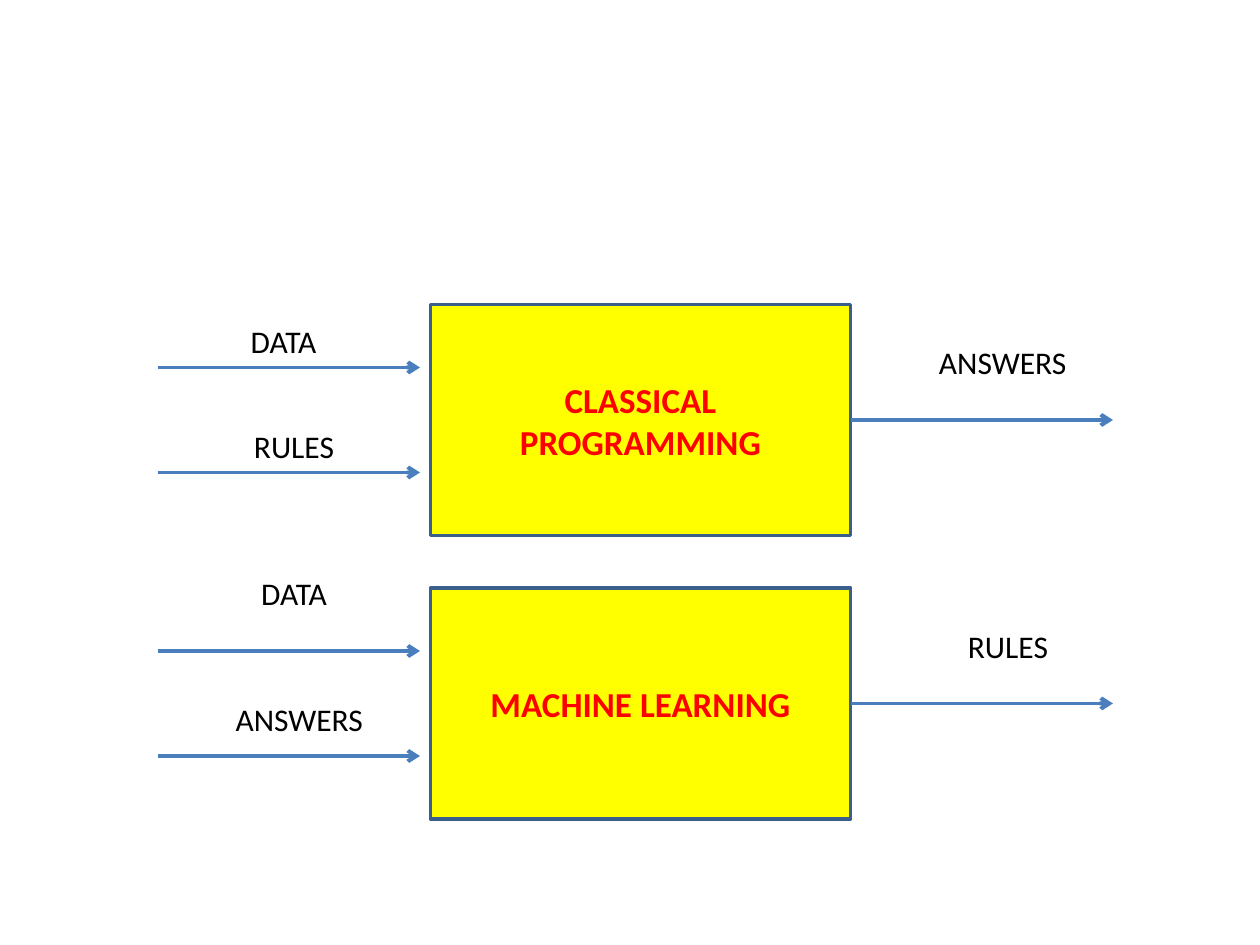
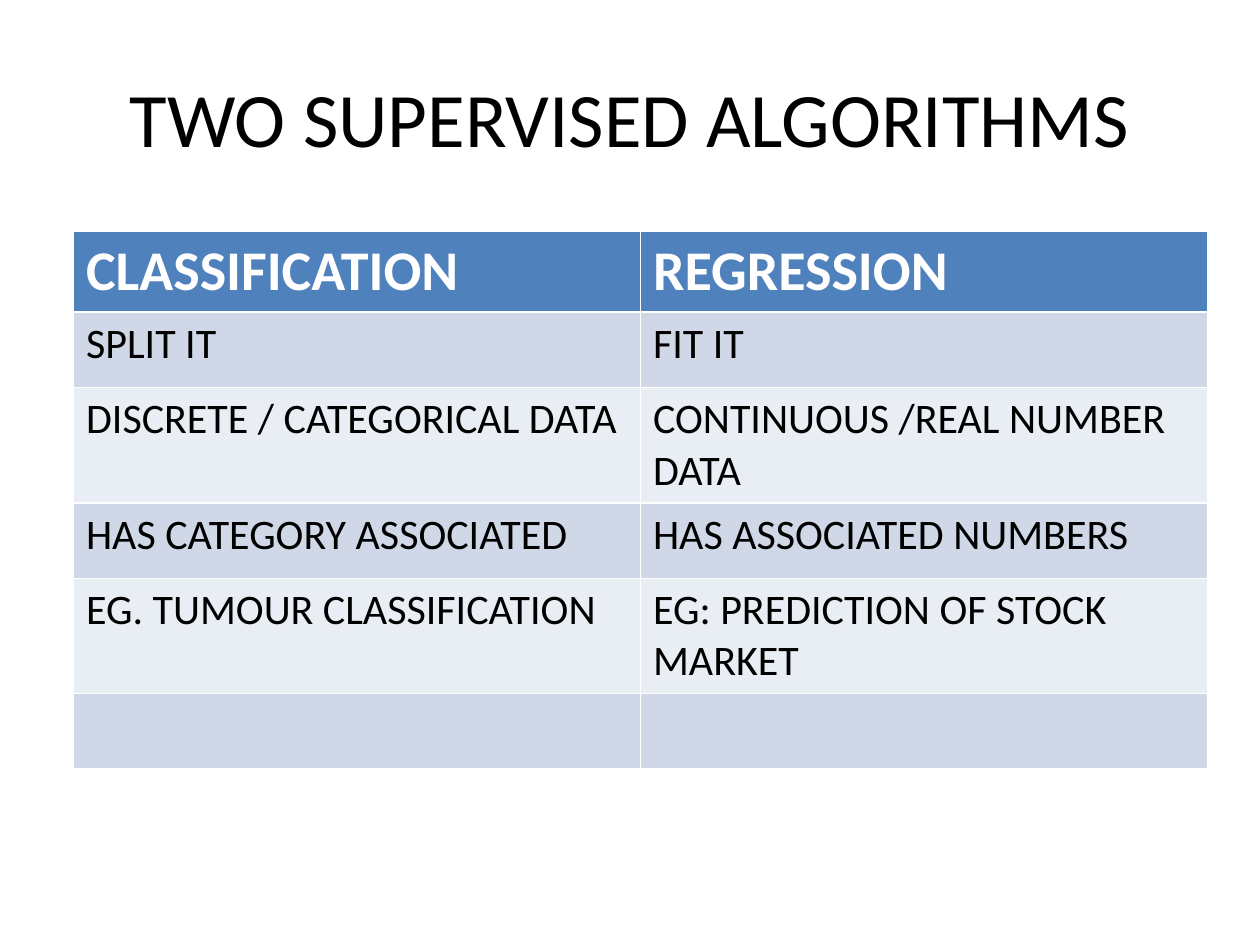
from dataclasses import dataclass

from lxml.etree import SubElement
from pptx import Presentation
from pptx.dml.color import RGBColor
from pptx.enum.shapes import MSO_CONNECTOR, MSO_SHAPE
from pptx.enum.text import MSO_ANCHOR, PP_ALIGN
from pptx.oxml.ns import qn
from pptx.slide import Slide
from pptx.text.text import TextFrame
from pptx.util import Pt


@dataclass(frozen=True)
class Theme:
    font: str = "Calibri"
    black: str = "000000"
    white: str = "FFFFFF"
    red: str = "FF0000"
    yellow: str = "FFFF00"
    edge: str = "3A5F8C"
    arrow: str = "4B7EBC"
    head: str = "4F81BD"
    bands: tuple[str, str] = ("D0D8E8", "E9EDF4")
    title: float = 44
    label: float = 18
    box: float = 20
    top_row: float = 32
    cell: float = 24


@dataclass(frozen=True)
class Signal:
    """A labelled arrow; all heights count from the top of its box."""
    text: str
    start: float
    drop: float
    left: float
    top: float
    width: float = 84


@dataclass(frozen=True)
class Flow:
    name: str
    top: float
    signals: tuple[Signal, ...]


THEME = Theme()

BOX_LEFT, BOX_WIDTH, BOX_HEIGHT = 246, 240, 132
ARROW_LENGTH, LABEL_HEIGHT = 150, 30
IN_LEFT, OUT_LEFT = 90, BOX_LEFT + BOX_WIDTH
IN_DROPS, OUT_DROP = (36, 96), BOX_HEIGHT / 2

FLOWS = (
    Flow("CLASSICAL PROGRAMMING", 174, (
        Signal("DATA", IN_LEFT, IN_DROPS[0], 120, 6),
        Signal("RULES", IN_LEFT, IN_DROPS[1], 126, 66),
        Signal("ANSWERS", OUT_LEFT, OUT_DROP, 522, 18, 102),
    )),
    Flow("MACHINE LEARNING", 336, (
        Signal("DATA", IN_LEFT, IN_DROPS[0], 126, -12),
        Signal("ANSWERS", IN_LEFT, IN_DROPS[1], 126, 60, 90),
        Signal("RULES", OUT_LEFT, OUT_DROP, 534, 18),
    )),
)

ROWS = (
    ("CLASSIFICATION", "REGRESSION"),
    ("SPLIT IT", "FIT IT"),
    ("DISCRETE / CATEGORICAL DATA", "CONTINUOUS /REAL NUMBER DATA"),
    ("HAS CATEGORY ASSOCIATED", "HAS ASSOCIATED NUMBERS"),
    ("EG. TUMOUR CLASSIFICATION", "EG: PREDICTION OF STOCK MARKET"),
    ("", ""),
)


def rgb(code: str) -> RGBColor:
    return RGBColor.from_string(code)


def write(frame: TextFrame, text: str, *, size: float,
          color: str = THEME.black, bold: bool = False,
          align: PP_ALIGN = PP_ALIGN.CENTER,
          anchor: MSO_ANCHOR = MSO_ANCHOR.MIDDLE) -> None:
    frame.word_wrap = True
    frame.vertical_anchor = anchor
    par = frame.paragraphs[0]
    par.alignment = align
    run = par.add_run()
    run.text = text
    run.font.name = THEME.font
    run.font.size = Pt(size)
    run.font.bold = bold
    run.font.color.rgb = rgb(color)


def draw_box(slide: Slide, flow: Flow) -> None:
    box = slide.shapes.add_shape(MSO_SHAPE.RECTANGLE, Pt(BOX_LEFT), Pt(flow.top),
                                 Pt(BOX_WIDTH), Pt(BOX_HEIGHT))
    box.shadow.inherit = False
    box.fill.solid()
    box.fill.fore_color.rgb = rgb(THEME.yellow)
    box.line.color.rgb = rgb(THEME.edge)
    box.line.width = Pt(2)
    write(box.text_frame, flow.name, size=THEME.box, color=THEME.red, bold=True)


def draw_arrow(slide: Slide, left: float, y: float) -> None:
    arrow = slide.shapes.add_connector(MSO_CONNECTOR.STRAIGHT, Pt(left), Pt(y),
                                       Pt(left + ARROW_LENGTH), Pt(y))
    arrow.line.color.rgb = rgb(THEME.arrow)
    arrow.line.width = Pt(2.25)
    props = arrow.element.find(qn("p:spPr"))
    SubElement(props.find(qn("a:ln")), qn("a:tailEnd"), type="arrow")
    SubElement(props, qn("a:effectLst"))


def draw_signal(slide: Slide, signal: Signal, top: float) -> None:
    draw_arrow(slide, signal.start, top + signal.drop)
    label = slide.shapes.add_textbox(Pt(signal.left), Pt(top + signal.top),
                                     Pt(signal.width), Pt(LABEL_HEIGHT))
    write(label.text_frame, signal.text, size=THEME.label)


def draw_flow(slide: Slide, flow: Flow) -> None:
    draw_box(slide, flow)
    for signal in flow.signals:
        draw_signal(slide, signal, flow.top)


def draw_title(slide: Slide, text: str) -> None:
    title = slide.shapes.title
    title.left, title.top = Pt(36), Pt(21.6)
    title.width, title.height = Pt(648), Pt(90)
    write(title.text_frame, text, size=THEME.title)


def draw_table(slide: Slide) -> None:
    """Cell borders come from the default table style."""
    height = 43.2
    table = slide.shapes.add_table(len(ROWS), len(ROWS[0]), Pt(42), Pt(132),
                                   Pt(648), Pt(height * len(ROWS))).table
    for i, row in enumerate(ROWS):
        table.rows[i].height = Pt(height)
        top = i == 0
        fill = THEME.head if top else THEME.bands[(i - 1) % 2]
        for j, text in enumerate(row):
            cell = table.cell(i, j)
            cell.fill.solid()
            cell.fill.fore_color.rgb = rgb(fill)
            if text:
                write(cell.text_frame, text, bold=top,
                      size=THEME.top_row if top else THEME.cell,
                      color=THEME.white if top else THEME.black,
                      align=PP_ALIGN.LEFT, anchor=MSO_ANCHOR.TOP)


def main() -> None:
    deck = Presentation()
    deck.slide_width, deck.slide_height = Pt(720), Pt(540)
    title_only, blank = deck.slide_layouts[5], deck.slide_layouts[6]

    slide = deck.slides.add_slide(blank)
    for flow in FLOWS:
        draw_flow(slide, flow)

    slide = deck.slides.add_slide(title_only)
    draw_title(slide, "TWO SUPERVISED ALGORITHMS")
    draw_table(slide)

    deck.save("out.pptx")


if __name__ == "__main__":
    main()
